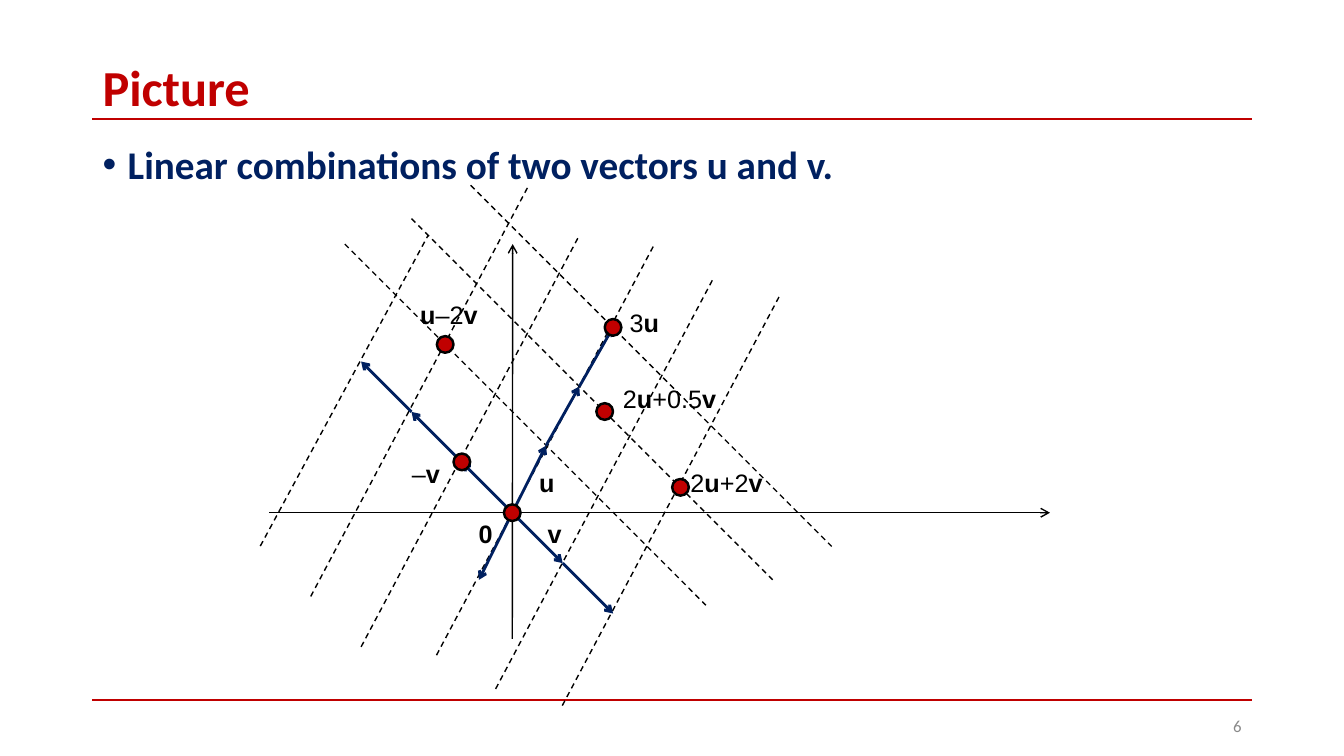
from itertools import groupby

from lxml import etree
from pptx import Presentation
from pptx.dml.color import RGBColor
from pptx.enum.dml import MSO_LINE
from pptx.enum.shapes import MSO_CONNECTOR, MSO_SHAPE
from pptx.enum.text import MSO_ANCHOR, MSO_AUTO_SIZE, PP_ALIGN
from pptx.oxml.ns import qn
from pptx.util import Cm, Pt

STRAIGHT = MSO_CONNECTOR.STRAIGHT
OVAL = MSO_SHAPE.OVAL
DASH = MSO_LINE.DASH
MIDDLE, TOP = MSO_ANCHOR.MIDDLE, MSO_ANCHOR.TOP
LEFT, RIGHT, JUSTIFY = PP_ALIGN.LEFT, PP_ALIGN.RIGHT, PP_ALIGN.JUSTIFY
NO_FIT, GROW = MSO_AUTO_SIZE.NONE, MSO_AUTO_SIZE.SHAPE_TO_FIT_TEXT

COLORS = {"red": "C00000", "navy": "002060", "black": "000000", "gray": "898989"}

# Lengths in centimetres
MARGIN, CONTENT_WIDTH = 2.33, 29.21
DOT_SIZE, LABEL_HEIGHT = 0.42, 1.02
ORIGIN = (12.91, 12.92)
V_STEP = 1.27
U_TIPS = [ORIGIN, (13.76, 11.23), (14.6, 9.74), (15.45, 8.25)]
MINUS_U_TIP = (12.07, 14.61)

# Grid lines: start points and the shared run along each vector
U_RUN, SHORT_U_RUN, V_RUN = (5.5, -10.37), (4.23, -7.83), (9.1, 9.1)
U_STARTS = [(7.83, 15.03), (9.1, 16.3), (11, 16.51), (12.49, 17.36), (14.17, 17.78)]
SHORT_U_START = (6.56, 13.76)
V_STARTS = [(8.69, 6.15), (10.37, 5.51), (11.86, 4.67)]

# Text, label left, top and width
VECTOR_LABELS = [("u", 13.34, 11.66, 0.91), ("v", 13.55, 12.93, 0.86)]
# Dot centre, then the label as above
POINTS = [
    ((17.15, 12.28), ("2u+2v", 17.15, 11.66, 2.34)),
    ((11.22, 8.68), ("u–2v", 10.34, 7.42, 1.98)),
    ((11.64, 11.64), ("–v", 10.13, 11.43, 1.22)),
    (ORIGIN, ("0", 11.81, 12.93, 0.86)),
    ((15.45, 8.25), ("3u", 15.62, 7.62, 1.27)),
    ((15.24, 10.37), ("2u+0.5v", 15.45, 9.53, 2.9)),
]


def color(name):
    return RGBColor.from_string(COLORS[name])


def shifted(point, offset):
    return point[0] + offset[0], point[1] + offset[1]


def along_v(steps):
    return shifted(ORIGIN, (steps * V_STEP, steps * V_STEP))


def add_line(page, start, end, name="black", width=1, arrow=False, dashed=False):
    line = page.shapes.add_connector(STRAIGHT, *(Cm(value) for value in start + end))
    line.line.color.rgb = color(name)
    line.line.width = Pt(width)
    if dashed:
        line.line.dash_style = DASH
    if arrow:
        etree.SubElement(line.line._get_or_add_ln(), qn("a:tailEnd"), type="arrow")
    etree.SubElement(line._element.spPr, qn("a:effectLst"))


def style_span(span, font, size, name, bold=False):
    span.font.name = font
    span.font.size = Pt(size)
    span.font.bold = bold
    span.font.color.rgb = color(name)


def place(box, left, top, width, height):
    box.left, box.top, box.width, box.height = Cm(left), Cm(top), Cm(width), Cm(height)


def fill_text(box, text, anchor, align, size, name, bold=True):
    frame = box.text_frame
    frame.text = text
    frame.word_wrap = True
    frame.auto_size = NO_FIT
    frame.vertical_anchor = anchor
    para = frame.paragraphs[0]
    para.alignment = align
    para.line_spacing = 0.9
    para.space_before = Pt(0)
    style_span(para.runs[0], "Calibri", size, name, bold)
    return para


def add_bullet(para):
    properties = para._p.get_or_add_pPr()
    properties.set("marL", str(Cm(0.635)))
    properties.set("indent", str(-Cm(0.635)))
    etree.SubElement(properties, qn("a:buFont"), typeface="Arial")
    etree.SubElement(properties, qn("a:buChar"), char="•")


def add_label(shapes, text, left, top, width):
    """Set vector letters and the zero vector in bold, coefficients in regular."""
    box = shapes.add_textbox(Cm(left), Cm(top), Cm(width), Cm(LABEL_HEIGHT))
    box.text_frame.word_wrap = False
    box.text_frame.auto_size = GROW
    para = box.text_frame.paragraphs[0]
    for is_vector, letters in groupby(text, str.isalpha):
        span = para.add_run()
        span.text = "".join(letters)
        style_span(span, "Arial", 18, "black", is_vector or text == "0")


def add_point(page, center, label):
    group = page.shapes.add_group_shape()
    add_label(group.shapes, *label)
    left, top = shifted(center, (-DOT_SIZE / 2, -DOT_SIZE / 2))
    dot = group.shapes.add_shape(OVAL, Cm(left), Cm(top), Cm(DOT_SIZE), Cm(DOT_SIZE))
    dot.shadow.inherit = False
    dot.fill.solid()
    dot.fill.fore_color.rgb = color("red")
    dot.line.color.rgb = color("black")
    dot.line.width = Pt(1.75)


def add_frame(page):
    for height in (3, 17.65):
        add_line(page, (MARGIN, height), (MARGIN + CONTENT_WIDTH, height), "red", 1.5)
    title, body = page.shapes.title, page.placeholders[1]
    place(title, MARGIN, 1.55, CONTENT_WIDTH, 1.47)
    fill_text(title, "Picture", MIDDLE, LEFT, 36, "red")
    place(body, MARGIN, 3.53, 21.18, 13.64)
    add_bullet(fill_text(body, "Linear combinations of two vectors u and v.",
                         TOP, JUSTIFY, 28, "navy"))
    number = page.shapes.add_textbox(Cm(23.92), Cm(17.8), Cm(7.62), Cm(1.02))
    fill_text(number, "6", MIDDLE, RIGHT, 12, "gray", bold=False)


def add_grid(page):
    lines = [(start, U_RUN) for start in U_STARTS]
    lines += [(SHORT_U_START, SHORT_U_RUN)]
    lines += [(start, V_RUN) for start in V_STARTS]
    for start, run in lines:
        add_line(page, start, shifted(start, run), dashed=True)


def add_vectors(page):
    arrows = list(zip(U_TIPS, U_TIPS[1:])) + [(ORIGIN, MINUS_U_TIP)]
    for sign, count in ((1, 2), (-1, 3)):
        arrows += [(along_v(sign * step), along_v(sign * (step + 1)))
                   for step in range(count)]
    for start, end in arrows:
        add_line(page, start, end, "navy", 2, arrow=True)


def main():
    deck = Presentation()
    deck.slide_width, deck.slide_height = Cm(33.87), Cm(19.05)
    page = deck.slides.add_slide(deck.slide_layouts[1])
    add_frame(page)

    # Axes
    add_line(page, (12.91, 16.1), (12.92, 6.15), arrow=True)
    add_line(page, (6.78, 12.92), (26.46, 12.92), arrow=True)

    # Grid, vectors and their labels
    add_grid(page)
    add_vectors(page)
    for label in VECTOR_LABELS:
        add_label(page.shapes, *label)

    # Marked combinations
    for center, label in POINTS:
        add_point(page, center, label)
    deck.save("out.pptx")


if __name__ == "__main__":
    main()
